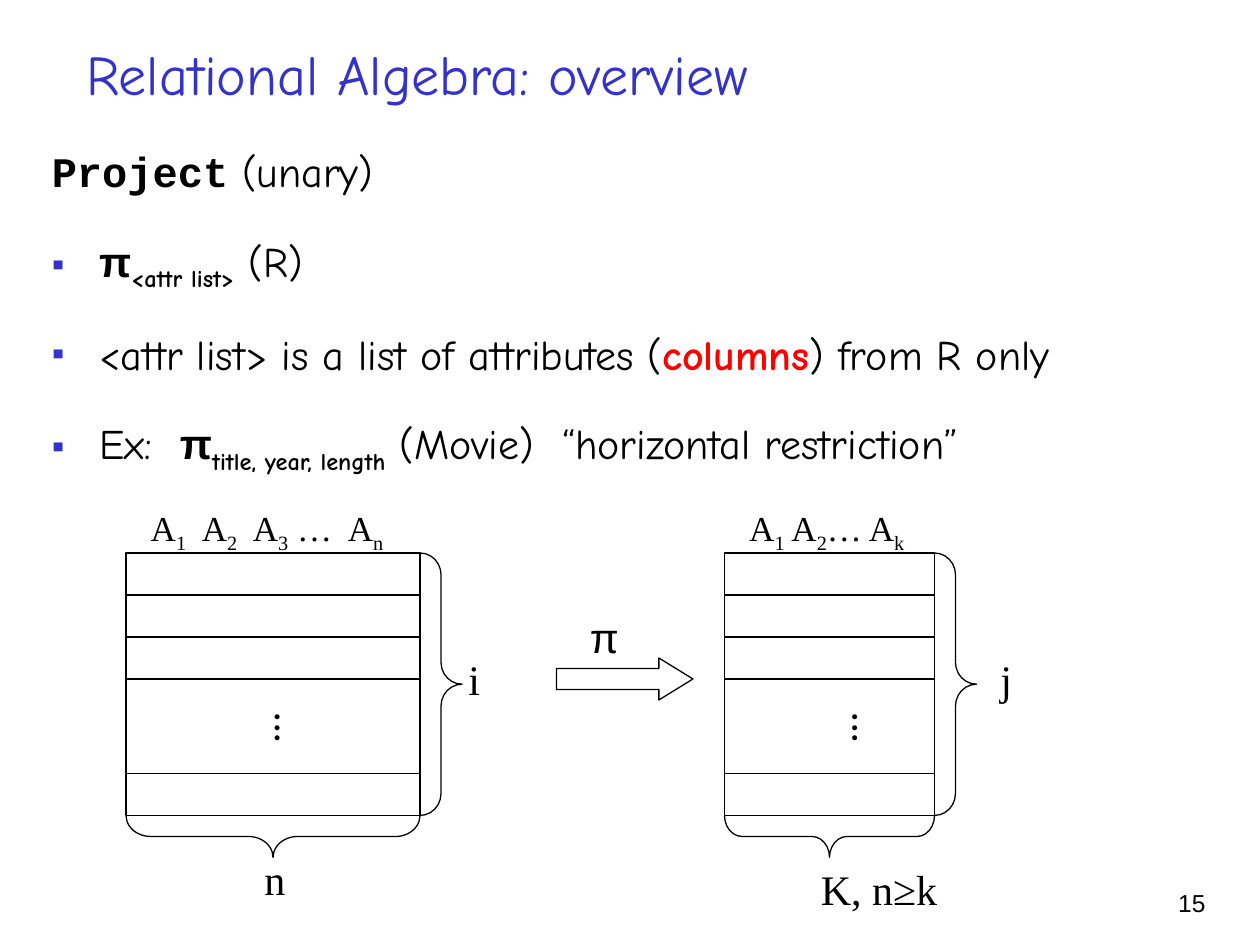
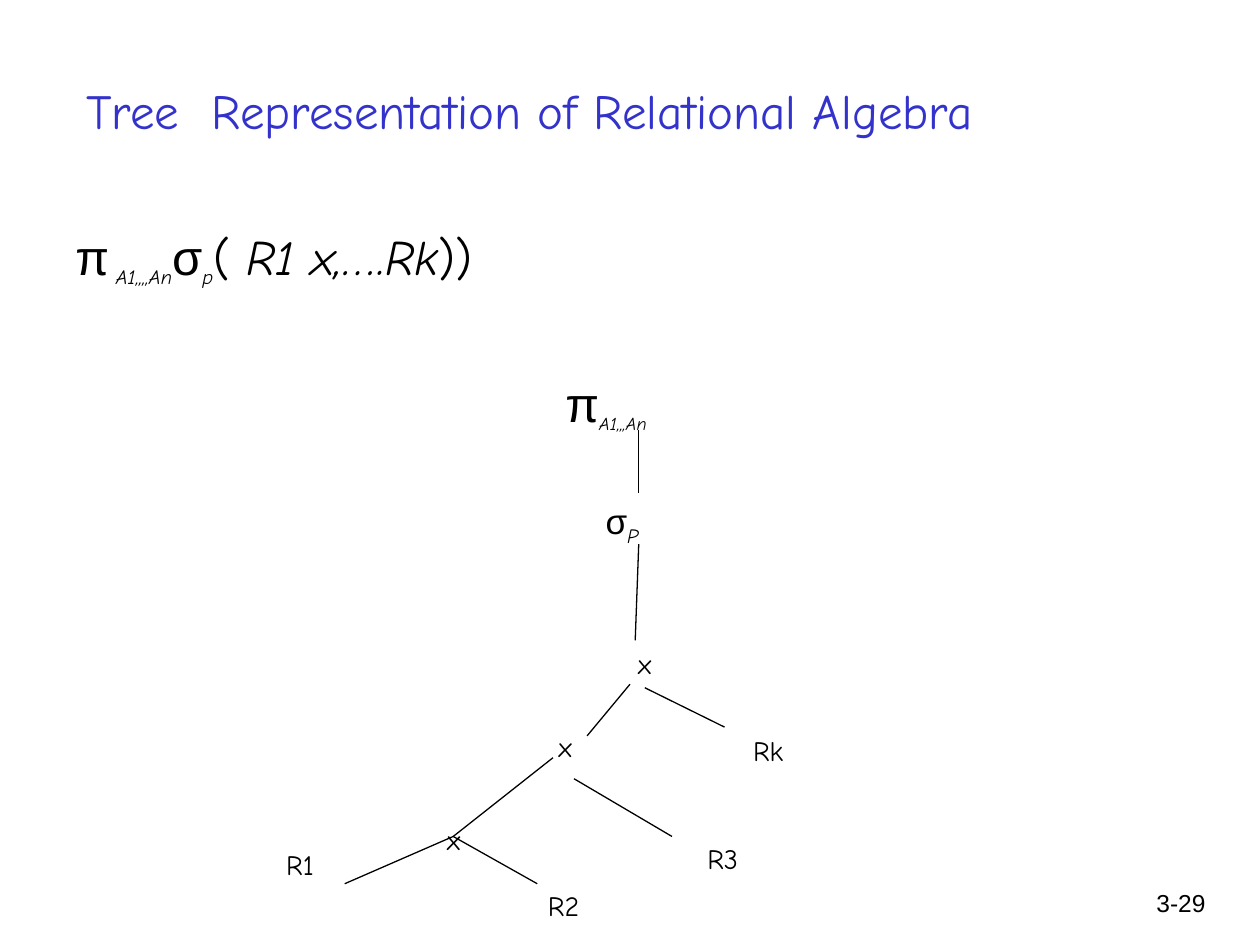
from lxml import etree
from pptx import Presentation
from pptx.dml.color import RGBColor
from pptx.enum.shapes import MSO_CONNECTOR, MSO_SHAPE
from pptx.enum.text import MSO_ANCHOR, MSO_AUTO_SIZE, PP_ALIGN
from pptx.oxml.ns import qn
from pptx.util import Pt

BLACK = RGBColor(0, 0, 0)
WHITE = RGBColor(255, 255, 255)
BLUE = RGBColor(0x33, 0x33, 0xCC)
RED = RGBColor(255, 0, 0)

SANS, COMIC, MONO, SERIF = "Arial", "Comic Neue", "Courier New", "Times New Roman"

LEFT, CENTER, RIGHT, JUST = (
    PP_ALIGN.LEFT, PP_ALIGN.CENTER, PP_ALIGN.RIGHT, PP_ALIGN.JUSTIFY)
TOP, MIDDLE = MSO_ANCHOR.TOP, MSO_ANCHOR.MIDDLE
FIT, FIXED = MSO_AUTO_SIZE.SHAPE_TO_FIT_TEXT, MSO_AUTO_SIZE.NONE
RECT, ARROW, BRACE = MSO_SHAPE.RECTANGLE, MSO_SHAPE.RIGHT_ARROW, MSO_SHAPE.RIGHT_BRACE
STRAIGHT = MSO_CONNECTOR.STRAIGHT

SUB = {"sub": True}
BOLD = {"bold": True}
PI = {"font": SANS, "bold": True}
ROW = 24
ROWS = (ROW, 2 * ROW, 3 * ROW, 126)
DEEP = 150


def write(para, runs, font=COMIC, size=24, color=BLACK, bold=False,
          italic=False, sub=False, align=LEFT):
    """Add runs to a paragraph; a run is a string or (string, changes)."""
    para.alignment = align
    for item in [runs] if isinstance(runs, str) else runs:
        words, own = (item, {}) if isinstance(item, str) else item
        look = {"font": font, "size": size, "color": color, "bold": bold,
                "italic": italic, "sub": sub, **own}
        run = para.add_run()
        run.text = words
        run.font.name = look["font"]
        run.font.size = Pt(look["size"])
        run.font.color.rgb = look["color"]
        run.font.bold = look["bold"]
        run.font.italic = look["italic"]
        if look["sub"]:
            run._r.get_or_add_rPr().set("baseline", "-25000")


def label(slide, box, runs, wrap=True, fit=FIT, turn=0, **look):
    shape = slide.shapes.add_textbox(*map(Pt, box))
    shape.rotation = turn
    frame = shape.text_frame
    frame.word_wrap = wrap
    frame.auto_size = fit
    write(frame.paragraphs[0], runs, **look)


def draw(slide, kind, box, fill=WHITE, line=BLACK, width=0.75):
    shape = slide.shapes.add_shape(kind, *map(Pt, box))
    shape.shadow.inherit = False
    if fill is None:
        shape.fill.background()
    else:
        shape.fill.solid()
        shape.fill.fore_color.rgb = fill
    shape.line.color.rgb = line
    shape.line.width = Pt(width)
    return shape


def rule(slide, x1, y1, x2, y2):
    line = slide.shapes.add_connector(STRAIGHT, Pt(x1), Pt(y1), Pt(x2), Pt(y2))
    line.line.color.rgb = BLACK
    line.line.width = Pt(0.75)
    etree.SubElement(line._element.spPr, qn("a:effectLst"))
    return line


def start(deck, title, number, height, size):
    """Add a slide with its title and page number."""
    slide = deck.slides.add_slide(deck.slide_layouts[5])
    head = slide.shapes.title
    head.left, head.top, head.width, head.height = map(Pt, (42, 18, 612, height))
    frame = head.text_frame
    frame.auto_size = FIXED
    frame.vertical_anchor = MIDDLE
    write(frame.paragraphs[0], title, size=size, color=BLUE)
    label(slide, (643, 504, 53, 36), number, fit=FIXED,
          font=SANS, size=14, align=RIGHT)
    return slide


def bullet(para):
    props = para._p.get_or_add_pPr()
    color = etree.SubElement(props, qn("a:buClr"))
    etree.SubElement(color, qn("a:srgbClr"), val=str(BLUE))
    etree.SubElement(props, qn("a:buSzPct"), val="85000")
    etree.SubElement(props, qn("a:buFont"), typeface=SANS)
    etree.SubElement(props, qn("a:buChar"), char="▪")


def points(slide, box, lines):
    """Write a lead line, then bulleted lines."""
    frame = slide.shapes.add_textbox(*map(Pt, box)).text_frame
    frame.word_wrap = True
    for i, runs in enumerate(lines):
        para = frame.add_paragraph() if i else frame.paragraphs[0]
        props = para._p.get_or_add_pPr()
        props.set("marL", str(Pt(27)))
        props.set("indent", str(Pt(-27)))
        para.line_spacing = 1.5
        if i:
            para.space_before = Pt(6)
            bullet(para)
        write(para, runs, align=JUST)


def brace(slide, x, y, span, down=False):
    """Draw a brace from (x, y) along span, pointing right or down."""
    box = (x, y, ROW, span)
    if down:
        box = (x + (span - ROW) / 2, y - (span - ROW) / 2, ROW, span)
    shape = draw(slide, BRACE, box, fill=None)
    shape.adjustments[0] = span / 12 / ROW
    shape.rotation = 90 if down else 0


def grid(slide, x, y, wide, heads, dots, side, foot):
    """Draw a relation; dots is a centre, side and foot (text, dx, dy, width)."""
    draw(slide, RECT, (x, y, wide, DEEP))
    label(slide, (x + 7, y - 30, wide, 34), heads, font=SERIF, size=20)
    for dy in ROWS:
        rule(slide, x, y + dy, x + wide, y + dy)
    label(slide, (x + dots - 24, y + 82, 48, 36), "...", turn=270,
          font=SERIF, align=CENTER)
    brace(slide, x + wide, y, DEEP)
    brace(slide, x, y + DEEP, wide, down=True)
    for words, dx, dy, w in (side, foot):
        label(slide, (x + dx, y + dy, w, 36), words, wrap=False, font=SERIF)


def step(slide, x, y):
    """Draw the projection arrow with its sign."""
    shape = draw(slide, ARROW, (x, y, 78, 24))
    shape.adjustments[0] = 0.5
    shape.adjustments[1] = 0.81
    label(slide, (x + 12, y - 30, 27, 36), "π", wrap=False, font=SANS)


def node(slide, box, words):
    shape = draw(slide, RECT, box, line=WHITE, width=2)
    frame = shape.text_frame
    frame.word_wrap = False
    frame.vertical_anchor = TOP
    write(frame.paragraphs[0], words, size=16, align=CENTER)
    return shape


def tree(slide, x, y):
    small = {"font": COMIC, "italic": True, "sub": True}
    label(slide, (x + 166, y, 98, 42), ["π", ("A1,,,An", {"size": 18, **small})],
          font=SANS, size=28)
    label(slide, (x + 189, y + 72, 45, 35), ["σ", ("P", small)],
          font=SANS, size=20)
    root = node(slide, (x + 203, y + 156, 31, 27), "x")
    for words, dx, dy, w, h in (
            ("x", 157, 203.5, 32, 20), ("x", 92, 256.5, 34.5, 24),
            ("R1", 5, 271, 33, 24), ("R2", 131, 294, 82, 24),
            ("R3", 250, 267.5, 26, 28), ("Rk", 276, 205.5, 26, 28)):
        node(slide, (x + dx, y + dy, w, h), words)
    for x1, y1, x2, y2 in (
            (215, 36, 215, 72), (215, 101, 213, 156),
            (210, 181, 185.5, 210.5), (166, 223, 109, 268),
            (109, 268, 47, 295), (109, 268, 157, 295), (178, 235, 234, 268)):
        rule(slide, x + x1, y + y1, x + x2, y + y2)
    last = rule(slide, x + 218.5, y + 183, x + 264, y + 205.5)
    last.begin_connect(root, 2)


def project(deck):
    slide = start(deck, "Relational Algebra: overview", "15", 47.5, 32)
    points(slide, (22.5, 65.25, 674, 223), [
        [("Project", {"font": MONO, **BOLD}), " (unary)"],
        [("π", PI), ("<attr list>", {**BOLD, **SUB}), " (R)"],
        ["<attr list> is a list of attributes (",
         ("columns", {"color": RED, **BOLD}), ") from R only"],
        ["Ex:  ", ("π", PI), ("title, year, length", {**BOLD, **SUB}),
         " (Movie)  “horizontal restriction”"],
    ])
    grid(slide, 72, 316, 168,
         ["A", ("1", SUB), "  A", ("2", SUB), "  A", ("3", SUB), " …  A", ("n", SUB)],
         78, ("i", 188.5, 54, 21), ("n", 72, 168, 26))
    grid(slide, 414, 316, 120,
         ["A", ("1", SUB), " A", ("2", SUB), "… A", ("k", SUB)],
         66, ("j", 150.5, 54, 27), ("K, n≥k", 48, 174, 81))
    step(slide, 318, 376)


def plan(deck):
    slide = start(deck, "Tree  Representation of Relational Algebra", "3-29", 90, 28)
    small = {"size": 20, "italic": True, "sub": True}
    label(slide, (36, 126, 648, 60), [
        ("π", {"font": SANS}), (" A1,,,,An", small), ("σ", {"font": SANS}),
        ("p", small), "(", (" R1 x,….Rk", {"italic": True}), "))"],
        fit=FIXED, size=28)
    tree(slide, 150, 210)


def main():
    deck = Presentation()
    deck.slide_width, deck.slide_height = Pt(720), Pt(540)
    project(deck)
    plan(deck)
    deck.save("out.pptx")


if __name__ == "__main__":
    main()
